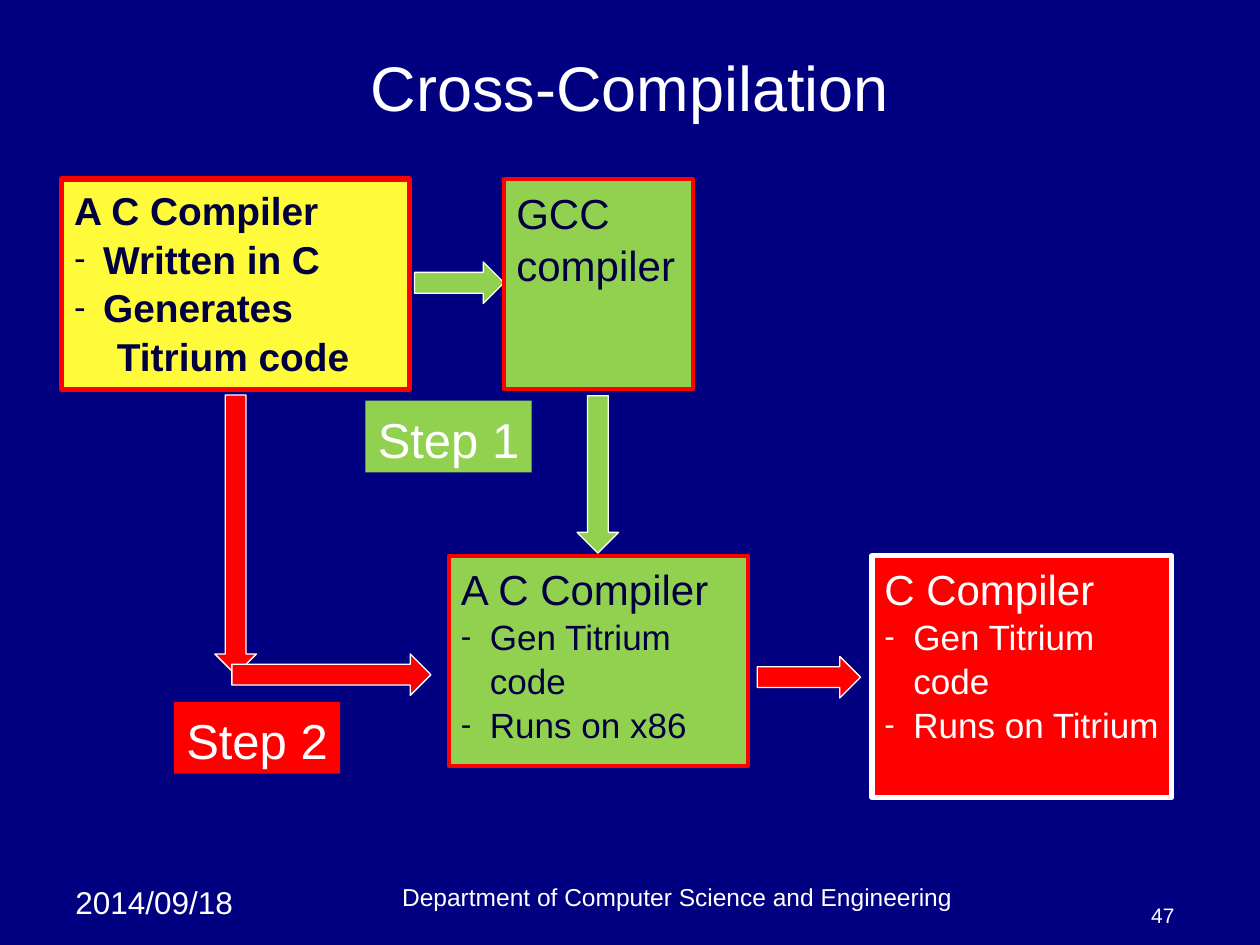
from lxml import etree
from pptx import Presentation
from pptx import util as u
from pptx.dml.color import RGBColor
from pptx.enum import shapes, text
from pptx.oxml import ns

PX = u.Inches(1) // 100  # 100 px to the inch

NAVY = RGBColor(0x00, 0x00, 0x80)
INK = RGBColor(0x00, 0x00, 0x40)
WHITE = RGBColor(0xFF, 0xFF, 0xFF)
RED = RGBColor(0xFF, 0x00, 0x00)
GREEN = RGBColor(0x92, 0xD0, 0x50)
YELLOW = RGBColor(0xFF, 0xFB, 0x3B)

LEFT, CENTER, RIGHT = text.PP_ALIGN.LEFT, text.PP_ALIGN.CENTER, text.PP_ALIGN.RIGHT
TOP, MIDDLE, BOTTOM = text.MSO_ANCHOR.TOP, text.MSO_ANCHOR.MIDDLE, text.MSO_ANCHOR.BOTTOM
RECT = shapes.MSO_SHAPE.RECTANGLE
RIGHT_ARROW = shapes.MSO_SHAPE.RIGHT_ARROW
BULLET_INDENT = 23
CONTINUED_INDENT = 34


def emu(box):
    return [length * PX for length in box]


def write(para, words, size, color, align=LEFT, bold=False):
    para.text = words
    para.alignment = align
    para.line_spacing = 1.04
    style = {"name": "Arial", "size": u.Pt(size), "bold": bold}
    for name, value in style.items():
        setattr(para.font, name, value)
    para.font.color.rgb = color


def set_frame(frame, anchor=TOP, wrap=True):
    layout = {
        "margin_left": 10 * PX, "margin_right": 10 * PX,
        "margin_top": 5 * PX, "margin_bottom": 5 * PX,
        "vertical_anchor": anchor, "word_wrap": wrap,
    }
    for name, value in layout.items():
        setattr(frame, name, value)


def indent(para, margin, hanging=0):
    props = para._p.get_or_add_pPr()
    props.set("marL", str(margin * PX))
    props.set("indent", str(-hanging * PX))
    return props


def add_dash(para, color):
    props = indent(para, BULLET_INDENT, BULLET_INDENT)
    bullet_color = etree.SubElement(props, ns.qn("a:buClr"))
    etree.SubElement(bullet_color, ns.qn("a:srgbClr"), val=str(color))
    etree.SubElement(props, ns.qn("a:buSzPct"), val="90000")
    etree.SubElement(props, ns.qn("a:buFont"), typeface="Arial")
    etree.SubElement(props, ns.qn("a:buChar"), char="-")


def add_block(page, kind, box, fill, line=None, width=0):
    block = page.shapes.add_shape(kind, *emu(box))
    block.shadow.inherit = False
    block.fill.solid()
    block.fill.fore_color.rgb = fill
    if line is None:
        block.line.fill.background()
    else:
        block.line.color.rgb = line
        block.line.width = u.Pt(width)
    return block


def add_title(page, box, words):
    title = page.shapes.title
    title.left, title.top, title.width, title.height = emu(box)
    set_frame(title.text_frame, MIDDLE)
    write(title.text_frame.paragraphs[0], words, 36, WHITE, CENTER)


def add_footer(page, box):
    left, top, width, height = box
    parts = [
        ((left, top, 158, 40), "2014/09/18", 18, LEFT, TOP),
        ((left + 150, top, 675, 33), "Department of Computer Science and Engineering",
         14, CENTER, BOTTOM),
        ((left + width - 67, top + height - 33, 67, 33), "47", 12, RIGHT, BOTTOM),
    ]
    for place, words, size, align, anchor in parts:
        part = page.shapes.add_textbox(*emu(place))
        set_frame(part.text_frame, anchor)
        write(part.text_frame.paragraphs[0], words, size, WHITE, align)


def add_compiler(page, box, fill, line, width, color, heading, dashes=(),
                 continued=None, sizes=(24, 20), bold=False):
    """Box with a heading, dashed items and an optional indented last line."""
    frame = add_block(page, RECT, box, fill, line, width).text_frame
    set_frame(frame)
    write(frame.paragraphs[0], heading, sizes[0], color, bold=bold)
    for words in dashes:
        para = frame.add_paragraph()
        add_dash(para, color)
        write(para, words, sizes[1], color, bold=bold)
    if continued:
        para = frame.add_paragraph()
        indent(para, CONTINUED_INDENT)
        write(para, continued, sizes[1], color, bold=bold)


def add_arrow(page, box, fill, down=False):
    """Arrow filling the box; a downward one is a right arrow turned by 90 degrees."""
    left, top, width, height = box
    if down:
        shift = (height - width) // 2
        box = (left - shift, top + shift, height, width)
    arrow = add_block(page, RIGHT_ARROW, box, fill, WHITE, 0.75)
    arrow.rotation = 90 if down else 0


def add_step(page, box, fill, words):
    frame = add_block(page, RECT, box, fill).text_frame
    set_frame(frame, wrap=False)
    frame.auto_size = text.MSO_AUTO_SIZE.SHAPE_TO_FIT_TEXT
    write(frame.paragraphs[0], words, 28, WHITE)


def add_diagram(page, box):
    x, y, _, _ = box

    def at(left, top, width, height):
        return x + left, y + top, width, height

    add_compiler(page, at(0, 0, 276, 167), YELLOW, RED, 3, INK, "A C Compiler",
                 ["Written in C", "Generates"], "Titrium code", (22.2, 22.2), True)
    add_arrow(page, at(280, 66, 71, 33), GREEN)
    add_arrow(page, at(409, 172, 33, 125), GREEN, down=True)
    add_compiler(page, at(351, 0, 150, 167), GREEN, RED, 2.25, INK, "GCC compiler")
    add_compiler(page, at(307, 299, 238, 167), GREEN, RED, 2.25, INK, "A C Compiler",
                 ["Gen Titrium code", "Runs on x86"])
    add_arrow(page, at(121, 172, 33, 222), RED, down=True)
    add_arrow(page, at(135, 377, 158, 33), RED)
    add_arrow(page, at(552, 379, 82, 33), RED)
    add_compiler(page, at(643, 299, 238, 192), RED, WHITE, 3, WHITE, "C Compiler",
                 ["Gen Titrium code", "Runs on Titrium"])
    add_step(page, at(241, 176, 132, 57), GREEN, "Step 1")
    add_step(page, at(89, 415, 132, 57), RED, "Step 2")


def main():
    deck = Presentation()
    deck.slide_width, deck.slide_height = emu((1000, 750))
    page = deck.slides.add_slide(deck.slide_layouts[5])
    page.background.fill.solid()
    page.background.fill.fore_color.rgb = NAVY
    add_footer(page, (50, 695, 892, 46))
    add_title(page, (50, 30, 900, 75), "Cross-Compilation")
    add_diagram(page, (49, 142, 881, 491))
    deck.save("out.pptx")


if __name__ == "__main__":
    main()
